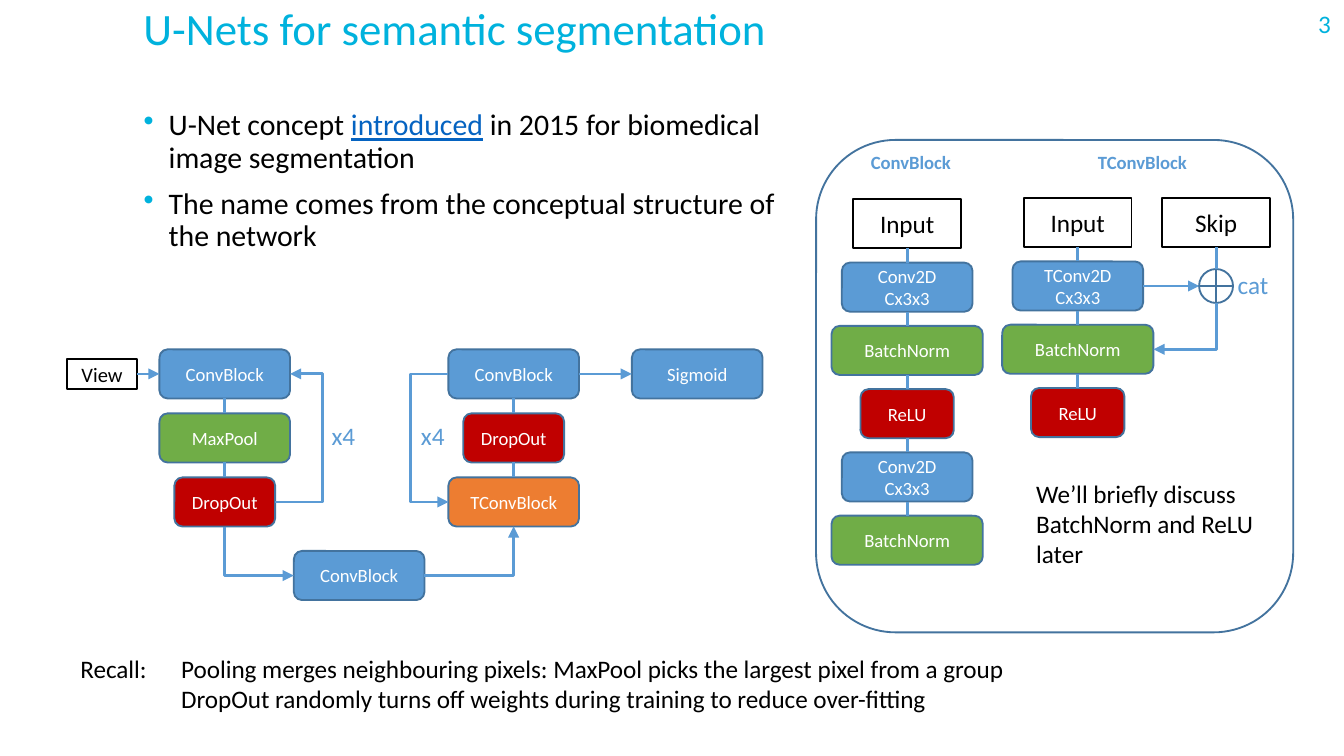
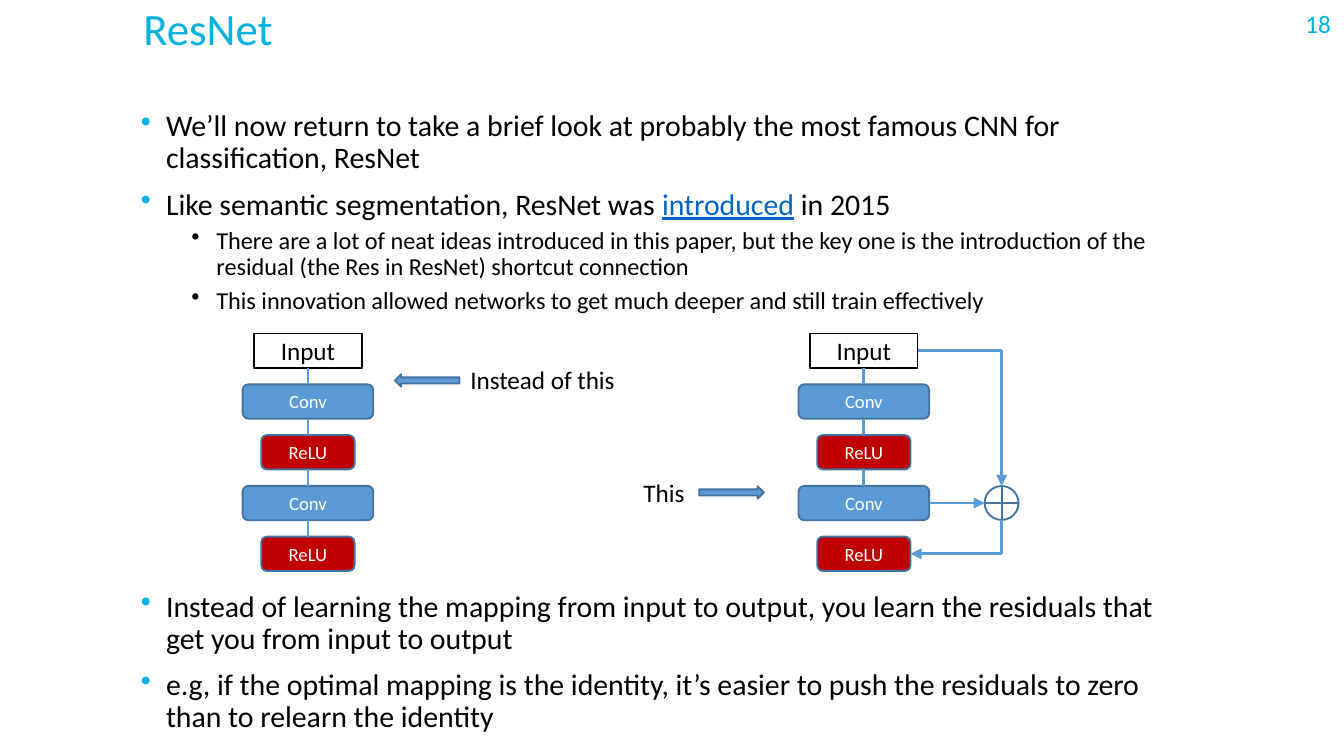
from typing import NamedTuple

from lxml import etree
from pptx import Presentation
from pptx.dml.color import RGBColor
from pptx.enum import shapes as s, text as t
from pptx.oxml import ns
from pptx.util import Pt

FONT = "Calibri"
CYAN, BLUE, OUTLINE = "00B2DD", "5B9BD5", "43739E"
GREEN, RED, ORANGE = "70AD47", "C00000", "ED7D31"
BLACK, WHITE, LINK = "000000", "FFFFFF", "0563C1"
TITLE_SIZE, BODY_SIZE, SUB_SIZE, NOTE_SIZE, BLOCK_SIZE = 24, 16, 13, 13.5, 10
TOP, LEFT, BOTTOM, RIGHT = range(4)
BULLET_INDENT, SUB_INDENT = 13.5, 40.5


class Block(NamedTuple):
    label: str
    width: float
    fill: str | None
    size: float = BLOCK_SIZE


class Item(NamedTuple):
    """One bullet; link is underlined and sits between text and rest."""
    text: str
    link: str = ""
    rest: str = ""
    level: int = 0


class Point(NamedTuple):
    x: float
    y: float


INPUT = Block("Input", 57.6, None, NOTE_SIZE)
SKIP = INPUT._replace(label="Skip")
VIEW = Block("View", 37.4, None, 11)
CONV_2D = Block("Conv2D\nCx3x3", 70, BLUE)
TCONV_2D = CONV_2D._replace(label="TConv2D\nCx3x3")
CONV = CONV_2D._replace(label="Conv")
CONV_BLOCK = CONV_2D._replace(label="ConvBlock")
SIGMOID = CONV_2D._replace(label="Sigmoid")
TCONV_BLOCK = Block("TConvBlock", 70, ORANGE)
MAX_POOL = Block("MaxPool", 70, GREEN)
BATCH_NORM = Block("BatchNorm", 81, GREEN)
RELU = Block("ReLU", 50, RED)
DROP_OUT = Block("DropOut", 54, RED)


def rgb(colour: str) -> RGBColor:
    return RGBColor.from_string(colour)


def add_xml(parent, tag: str, **attributes: str):
    return etree.SubElement(parent, ns.qn(tag), attributes)


def set_font(font, size: float, colour: str, bold: bool = False) -> None:
    font.name, font.size, font.bold = FONT, Pt(size), bold
    font.color.rgb = rgb(colour)


def add_text(slide, text: str, left: float, top: float, width: float, height: float,
             size: float = NOTE_SIZE, colour: str = BLACK, bold: bool = False,
             align=t.PP_ALIGN.LEFT, wrap: bool = False, tab: float = 0):
    box = slide.shapes.add_textbox(Pt(left), Pt(top), Pt(width), Pt(height))
    box.text_frame.word_wrap = wrap
    box.text_frame.text = text
    paragraph = box.text_frame.paragraphs[0]
    paragraph.alignment = align
    if tab:
        tabs = add_xml(paragraph._p.get_or_add_pPr(), "a:tabLst")
        add_xml(tabs, "a:tab", pos=str(Pt(tab)), algn="l")
    set_font(paragraph.font, size, colour, bold)
    return paragraph


def add_bullets(slide, items: list[Item], left: float, top: float,
                width: float, height: float) -> None:
    box = slide.shapes.add_textbox(Pt(left), Pt(top), Pt(width), Pt(height))
    frame = box.text_frame
    frame.word_wrap = True
    for index, item in enumerate(items):
        paragraph = frame.add_paragraph() if index else frame.paragraphs[0]
        paragraph.level = item.level
        paragraph.line_spacing = 0.9
        if index:
            paragraph.space_before = Pt(3.8 if item.level else 7.5)
        properties = paragraph._p.get_or_add_pPr()
        properties.set("marL", str(Pt(SUB_INDENT if item.level else BULLET_INDENT)))
        properties.set("indent", str(-Pt(BULLET_INDENT)))
        colour = add_xml(properties, "a:buClr")
        add_xml(colour, "a:srgbClr", val=BLACK if item.level else CYAN)
        add_xml(properties, "a:buChar", char="•")
        set_font(paragraph.font, SUB_SIZE if item.level else BODY_SIZE, BLACK)
        paragraph.add_run().text = item.text
        if item.link:
            link = paragraph.add_run()
            link.text = item.link
            link.font.underline = True
            link.font.color.rgb = rgb(LINK)
            paragraph.add_run().text = item.rest


def add_outlined(slide, kind, left: float, top: float, width: float, height: float,
                 fill: str | None, line: str = OUTLINE):
    shape = slide.shapes.add_shape(kind, Pt(left), Pt(top), Pt(width), Pt(height))
    shape.shadow.inherit = False
    if fill:
        shape.fill.solid()
        shape.fill.fore_color.rgb = rgb(fill)
    else:
        shape.fill.background()
    shape.line.color.rgb = rgb(line)
    shape.line.width = Pt(1)
    return shape


def add_block(slide, block: Block, centre: float, top: float, height: float):
    """Filled blocks are rounded with white text; unfilled ones are plain black boxes."""
    kind = s.MSO_SHAPE.ROUNDED_RECTANGLE if block.fill else s.MSO_SHAPE.RECTANGLE
    shape = add_outlined(slide, kind, centre - block.width / 2, top, block.width, height,
                         block.fill, OUTLINE if block.fill else BLACK)
    frame = shape.text_frame
    frame.margin_left = frame.margin_right = frame.margin_top = frame.margin_bottom = 0
    frame.vertical_anchor = t.MSO_ANCHOR.MIDDLE
    frame.text = block.label
    for paragraph in frame.paragraphs:
        paragraph.alignment = t.PP_ALIGN.CENTER
        set_font(paragraph.font, block.size, WHITE if block.fill else BLACK)
    return shape


def add_stack(slide, blocks: list[Block], centre: float, top: float,
              pitch: float, height: float) -> list:
    """Draws blocks downwards at an equal pitch and joins each to the next."""
    stack = [add_block(slide, block, centre, top + row * pitch, height)
             for row, block in enumerate(blocks)]
    for upper, lower in zip(stack, stack[1:]):
        add_straight(slide, upper, BOTTOM, lower, TOP)
    return stack


def add_sum(slide, centre: float, middle: float):
    size = 18.2
    return add_outlined(slide, s.MSO_SHAPE.FLOWCHART_OR, centre - size / 2,
                        middle - size / 2, size, size, WHITE)


def side_point(shape, side: int) -> Point:
    across = {LEFT: 0, RIGHT: 1}.get(side, 0.5)
    down = {TOP: 0, BOTTOM: 1}.get(side, 0.5)
    return Point((shape.left + shape.width * across) / Pt(1),
                 (shape.top + shape.height * down) / Pt(1))


def add_line(slide, kind, start: Point, end: Point, arrow: bool):
    connector = slide.shapes.add_connector(
        kind, Pt(start.x), Pt(start.y), Pt(end.x), Pt(end.y))
    connector.line.color.rgb = rgb(BLUE)
    connector.line.width = Pt(1.5)
    if arrow:
        add_xml(connector.line._get_or_add_ln(), "a:tailEnd", type="triangle")
    add_xml(connector._element.spPr, "a:effectLst")
    return connector


def add_straight(slide, source, source_side: int, target, target_side: int,
                 arrow: bool = False) -> None:
    connector = add_line(slide, s.MSO_CONNECTOR.STRAIGHT, side_point(source, source_side),
                         side_point(target, target_side), arrow)
    circle = s.MSO_SHAPE.FLOWCHART_OR
    if source.auto_shape_type != circle:
        connector.begin_connect(source, source_side)
    if target.auto_shape_type != circle:
        connector.end_connect(target, target_side)


def add_corner(slide, start: Point, end: Point, down_first: bool = False) -> None:
    """Arrow with one corner; a quarter turn makes it leave downwards."""
    if down_first:
        middle = Point((start.x + end.x) / 2, (start.y + end.y) / 2)
        half_x, half_y = (end.x - start.x) / 2, (end.y - start.y) / 2
        start = Point(middle.x - half_y, middle.y + half_x)
        end = Point(middle.x + half_y, middle.y - half_x)
    connector = add_line(slide, s.MSO_CONNECTOR.ELBOW, start, end, True)
    properties = connector._element.spPr
    properties.find(ns.qn("a:prstGeom")).set("prst", "bentConnector2")
    if down_first:
        properties.find(ns.qn("a:xfrm")).set("rot", "5400000")


def add_loop(slide, start: Point, end: Point, via: float) -> None:
    """Arrow that runs sideways to x = via, then back to end."""
    connector = add_line(slide, s.MSO_CONNECTOR.ELBOW, start, end, True)
    geometry = connector._element.spPr.find(ns.qn("a:prstGeom"))
    guides = geometry.find(ns.qn("a:avLst"))
    if guides is None:
        guides = add_xml(geometry, "a:avLst")
    bend = round((via - start.x) / (end.x - start.x) * 100000)
    add_xml(guides, "a:gd", name="adj1", fmla=f"val {bend}")


def add_page(presentation, title: str, number: int):
    slide = presentation.slides.add_slide(presentation.slide_layouts[6])
    add_text(slide, str(number), 680, 0.7, 40, 24, colour=CYAN,
             align=t.PP_ALIGN.RIGHT, wrap=True)
    heading = add_text(slide, title, 69.8, 0, 529, 30, TITLE_SIZE, CYAN, wrap=True)
    heading.line_spacing = 0.9
    return slide


def draw_unet(slide) -> None:
    height, pitch = 26.3, 34.3
    encoder = add_stack(slide, [CONV_BLOCK, MAX_POOL, DROP_OUT], 120.4, 187.2, pitch, height)
    decoder = add_stack(slide, [CONV_BLOCK, DROP_OUT, TCONV_BLOCK], 275.2, 187.2, pitch, height)
    bottleneck = add_block(slide, CONV_BLOCK, 192.4, 295.2, height)
    sigmoid = add_block(slide, SIGMOID, 373.5, 187.2, height)
    view = add_block(slide, VIEW, 54.7, 192.2, 16.3)
    add_straight(slide, view, RIGHT, encoder[0], LEFT, True)
    add_straight(slide, decoder[0], RIGHT, sigmoid, LEFT, True)
    add_corner(slide, side_point(encoder[-1], BOTTOM), side_point(bottleneck, LEFT), True)
    add_corner(slide, side_point(bottleneck, RIGHT), side_point(decoder[-1], BOTTOM))
    add_loop(slide, side_point(encoder[-1], RIGHT), side_point(encoder[0], RIGHT), 172.9)
    start, end = side_point(decoder[0], LEFT), side_point(decoder[-1], LEFT)
    add_loop(slide, start, Point(end.x + 0.1, end.y), 222.5)
    for left in (170.6, 218.4):
        add_text(slide, "x4", left, 221.5, 27.4, 24, colour=BLUE)


def draw_block_details(slide) -> None:
    height, pitch, tconv_top = 26.3, 33.9, 106.2
    add_outlined(slide, s.MSO_SHAPE.ROUNDED_RECTANGLE, 437.2, 75, 255.6, 263.8, None)
    for label, centre in (("ConvBlock", 488), ("TConvBlock", 612)):
        add_text(slide, label, centre - 40, 77.5, 80, 19.4, BLOCK_SIZE, BLUE, True,
                 t.PP_ALIGN.CENTER, True)
    add_stack(slide, [INPUT, CONV_2D, BATCH_NORM, RELU, CONV_2D, BATCH_NORM],
              486, 106.8, pitch, height)
    _, tconv, norm, _ = add_stack(slide, [INPUT, TCONV_2D, BATCH_NORM, RELU],
                                  577.4, tconv_top, pitch, height)
    skip = add_block(slide, SKIP, 651.5, tconv_top, height)
    joint = add_sum(slide, 651.5, side_point(tconv, RIGHT).y)
    add_straight(slide, skip, BOTTOM, joint, TOP)
    add_straight(slide, tconv, RIGHT, joint, LEFT, True)
    add_corner(slide, side_point(joint, BOTTOM), side_point(norm, RIGHT), True)
    add_text(slide, "cat", 656, 140.5, 31, 24, colour=BLUE)
    add_text(slide, "We’ll briefly discuss BatchNorm and ReLU later",
             548, 252.7, 135.4, 56, wrap=True)


def build_unet_slide(presentation) -> None:
    slide = add_page(presentation, "U-Nets for semantic segmentation", 3)
    add_bullets(slide, [
        Item("U-Net concept ", "introduced", " in 2015 for biomedical image segmentation"),
        Item("The name comes from the conceptual structure of the network"),
    ], 69.8, 55.5, 358, 90)
    draw_block_details(slide)
    draw_unet(slide)
    add_text(slide, "Recall:\tPooling merges neighbouring pixels: MaxPool picks the largest pixel "
             "from a group\v\tDropOut randomly turns off weights during training to reduce "
             "over-fitting", 36, 346.3, 516.2, 40.3, tab=54)


def build_resnet_slide(presentation) -> None:
    slide = add_page(presentation, "ResNet", 18)
    add_bullets(slide, [
        Item("We’ll now return to take a brief look at probably the most famous CNN for "
             "classification, ResNet"),
        Item("Like semantic segmentation, ResNet was ", "introduced", " in 2015"),
        Item("There are a lot of neat ideas introduced in this paper, but the key one is the "
             "introduction of the residual (the Res in ResNet) shortcut connection", level=1),
        Item("This innovation allowed networks to get much deeper and still train effectively",
             level=1),
    ], 68.4, 55.8, 573, 115)
    add_bullets(slide, [
        Item("Instead of learning the mapping from input to output, you learn the residuals "
             "that get you from input to output"),
        Item("e.g, if the optimal mapping is the identity, it’s easier to push the residuals "
             "to zero than to relearn the identity"),
    ], 68.4, 313.3, 573, 86)

    top, pitch, height = 178.7, 27.2, 18.4
    plain = [INPUT, CONV, RELU, CONV, RELU]
    add_stack(slide, plain, 165, top, pitch, height)
    residual = add_stack(slide, plain[:-1], 462.8, top, pitch, height)
    output = add_block(slide, RELU, 462.8, top + 4 * pitch, height)
    joint = add_sum(slide, 536.6, side_point(residual[-1], RIGHT).y)
    add_straight(slide, residual[-1], RIGHT, joint, LEFT, True)
    add_corner(slide, side_point(residual[0], RIGHT), side_point(joint, TOP))
    add_corner(slide, side_point(joint, BOTTOM), side_point(output, RIGHT), True)

    add_text(slide, "Instead of this", 244.9, 191.8, 95.8, 24)
    add_text(slide, "This", 337.6, 252, 36.7, 24)
    for left, arrow_top, turn in ((211.6, 200.5, 180), (374.6, 260.5, 0)):
        arrow = add_outlined(slide, s.MSO_SHAPE.RIGHT_ARROW, left, arrow_top, 34.6, 6.6, BLUE)
        arrow.rotation = turn


def main() -> None:
    presentation = Presentation()
    presentation.slide_width, presentation.slide_height = Pt(720), Pt(405)
    build_unet_slide(presentation)
    build_resnet_slide(presentation)
    presentation.save("out.pptx")


if __name__ == "__main__":
    main()
